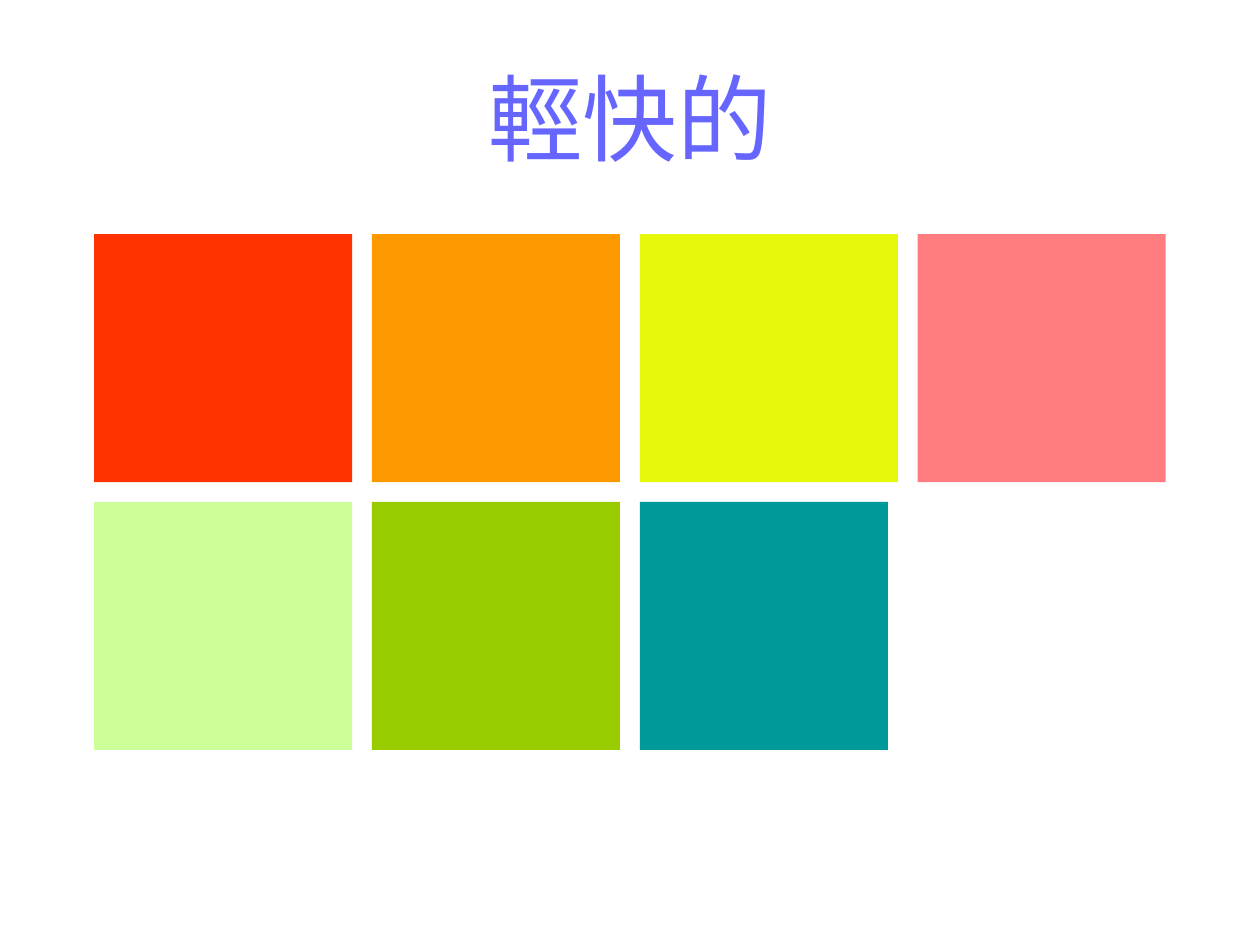
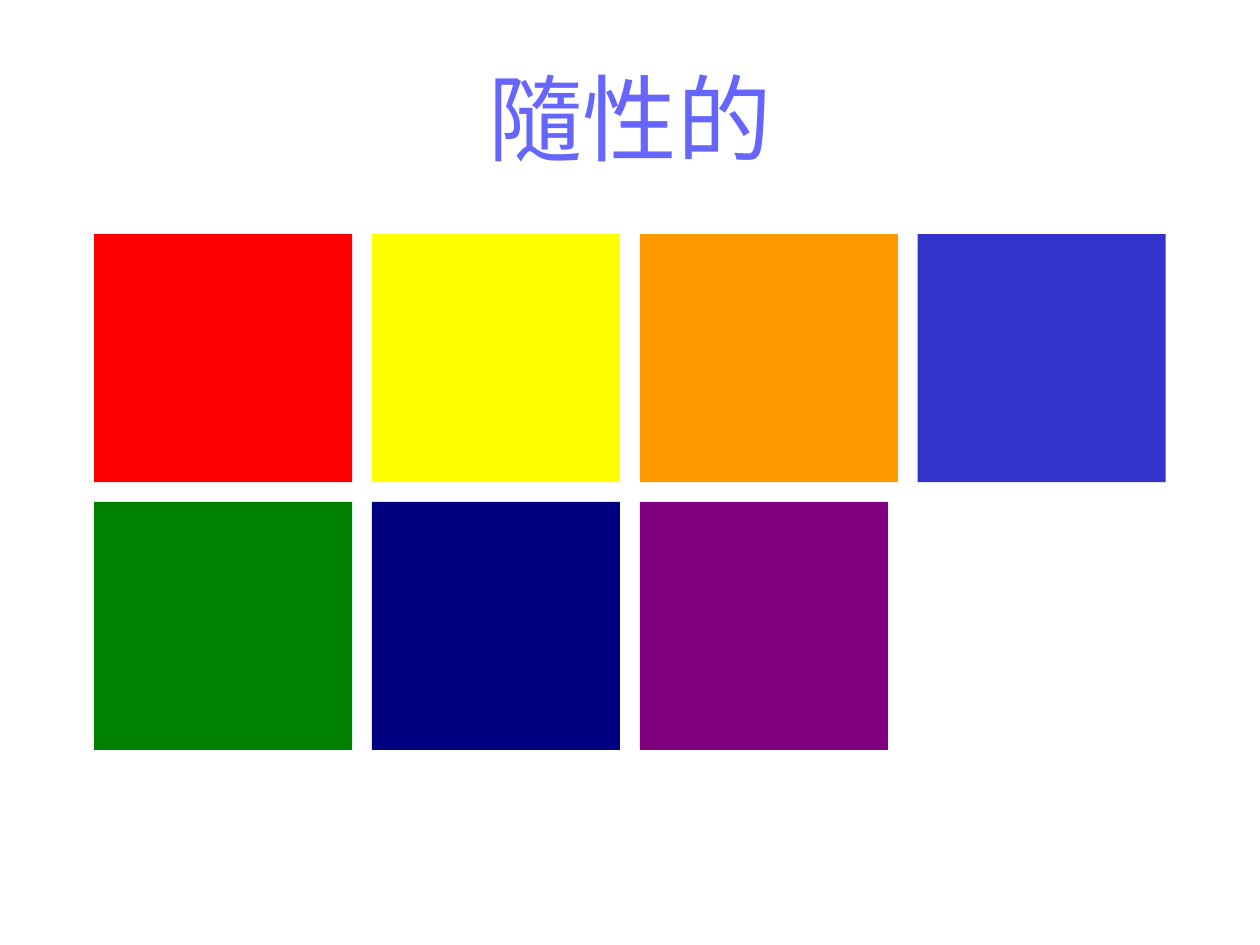
from pptx import Presentation, util as u
from pptx.dml.color import RGBColor
from pptx.enum import shapes, text

WIDE, SIDE, GAP = 5.2, 5, 0.4
LEFT, TOP = 1.9, 4.72
ROWS = [[WIDE, SIDE, WIDE, SIDE], [WIDE, SIDE, SIDE]]

MOODS = {
    "輕快的": [["FF3300", "FF9900", "E6F709", "FF7C80"],
            ["CCFF99", "99CC00", "009999"]],
    "隨性的": [["FF0000", "FFFF00", "FF9900", "3333CC"],
            ["008000", "000080", "800080"]],
}


def tint(code):
    """Turn a hex string into a colour."""
    return RGBColor.from_string(code)


def write(frame, words, size=54, font="Arial", color="6666FF",
          align=text.PP_ALIGN.CENTER, anchor=text.MSO_ANCHOR.MIDDLE):
    """Put formatted words in a text frame."""
    frame.word_wrap = True
    frame.vertical_anchor = anchor
    para = frame.paragraphs[0]
    para.alignment = align
    run = para.add_run()
    run.text = words
    run.font.size = u.Pt(size)
    run.font.name = font
    run.font.color.rgb = tint(color)


class Deck:
    """Hold the shared style and the current slide."""

    def __init__(self):
        """Start an empty deck of 10 by 7.5 inches."""
        self.show = Presentation()
        self.show.slide_width = u.Cm(25.4)
        self.show.slide_height = u.Cm(19.05)
        self.slide = None

    def page(self):
        """Add a blank slide."""
        self.slide = self.show.slides.add_slide(self.show.slide_layouts[6])

    def title(self, words):
        """Add the centred heading."""
        box = self.slide.shapes.add_textbox(
            u.Cm(1.27), u.Cm(0.76), u.Cm(22.86), u.Cm(3.18))
        write(box.text_frame, words)

    def swatch(self, left, top, width, color):
        """Add one plain block of colour."""
        block = self.slide.shapes.add_shape(
            shapes.MSO_SHAPE.RECTANGLE,
            u.Cm(left), u.Cm(top), u.Cm(width), u.Cm(SIDE))
        block.shadow.inherit = False
        block.fill.solid()
        block.fill.fore_color.rgb = tint(color)
        block.line.fill.background()

    def chart(self, rows):
        """Lay the swatches out in rows with equal gaps."""
        for row, (widths, colors) in enumerate(zip(ROWS, rows)):
            left = LEFT
            for width, color in zip(widths, colors):
                self.swatch(left, TOP + row * (SIDE + GAP), width, color)
                left += width + GAP


def main():
    """Build one slide for each mood."""
    deck = Deck()
    for mood, rows in MOODS.items():
        deck.page()
        deck.title(mood)
        deck.chart(rows)
    deck.show.save("out.pptx")


if __name__ == "__main__":
    main()
